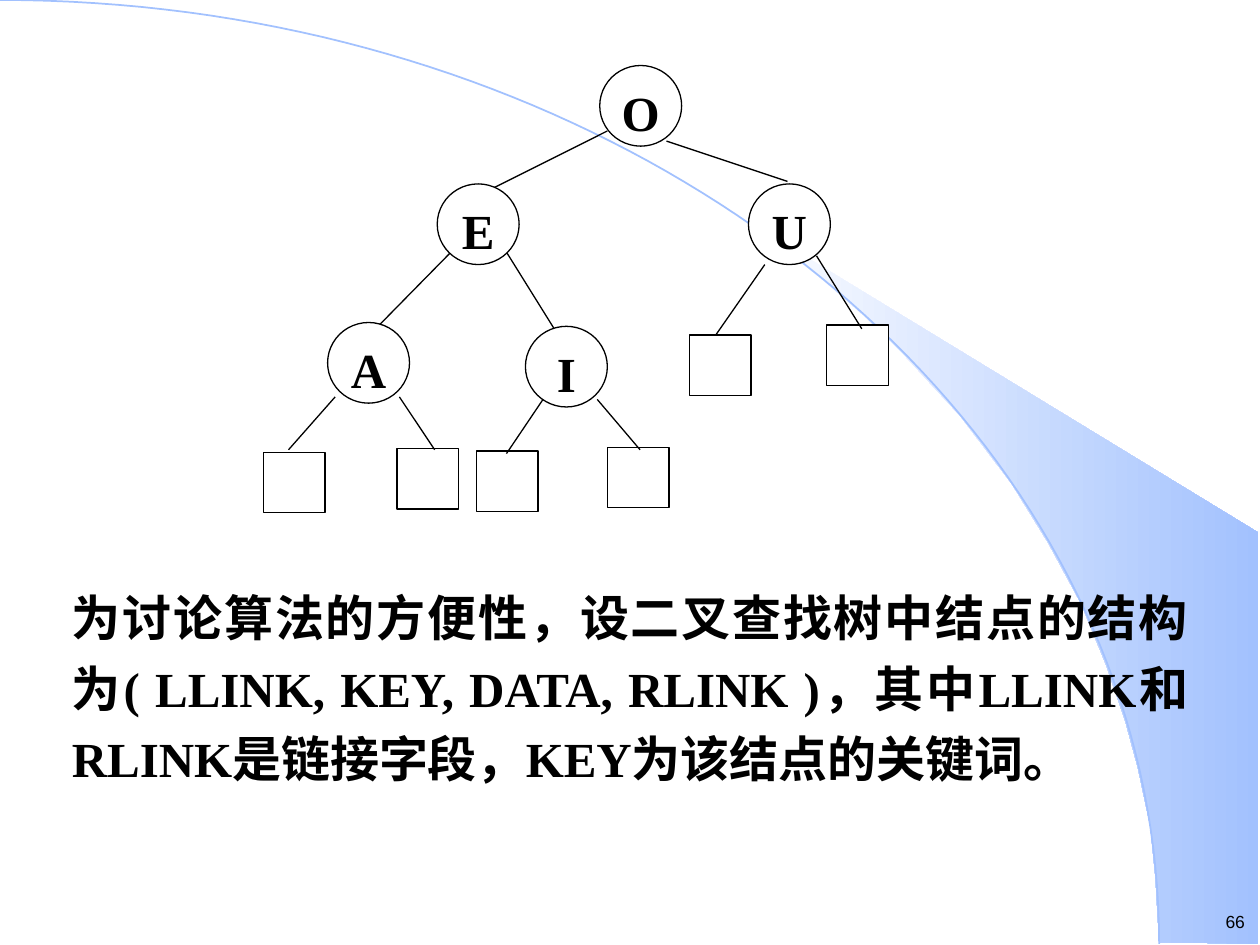
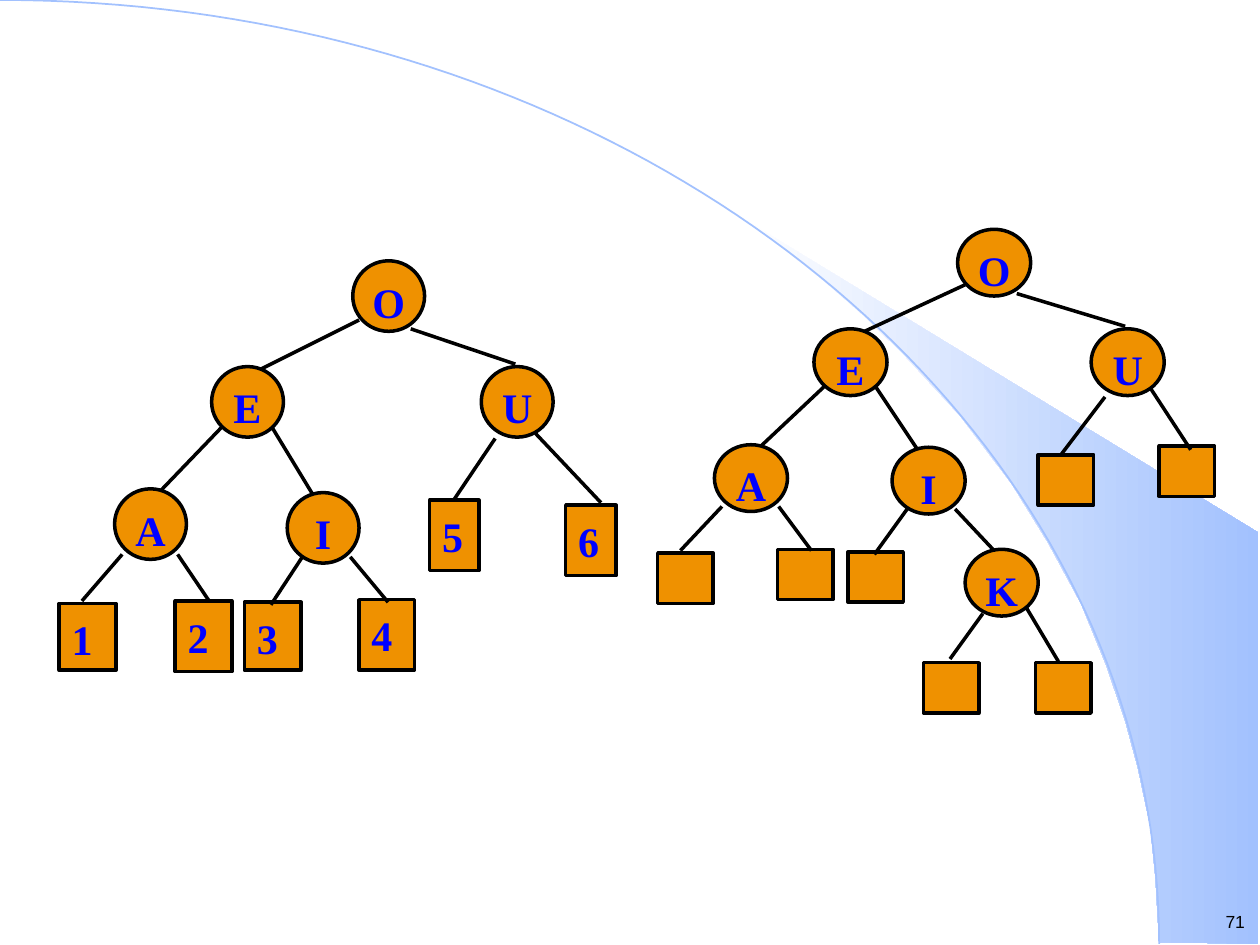
"""Builds two slides on binary search trees: node structure, and insertion of K."""
from pptx import Presentation
from pptx.dml.color import RGBColor
from pptx.enum.shapes import MSO_CONNECTOR, MSO_SHAPE
from pptx.enum.text import MSO_ANCHOR, MSO_AUTO_SIZE, PP_ALIGN
from pptx.oxml.ns import qn
from pptx.util import Pt
from lxml import etree

PX = 9144
BLACK = RGBColor(0x00, 0x00, 0x00)
WHITE = RGBColor(0xFF, 0xFF, 0xFF)
SKY = RGBColor(0xA2, 0xC1, 0xFE)
ORANGE = RGBColor(0xEF, 0x91, 0x00)
BLUE = RGBColor(0x00, 0x00, 0xFF)
SERIF = "Times New Roman"

WEDGE = [(920, 748), (999, 749), (999, 423), (589, 173), (624, 199), (653, 222),
         (685, 250), (716, 280), (762, 330), (803, 384), (832, 431), (858, 479),
         (878, 528), (893, 572), (903, 609), (913, 656), (917, 696)]
ARC_STEPS = 80
ARC = []
for step in range(ARC_STEPS + 1):
    t = step / ARC_STEPS
    s = 1 - t
    ARC.append((3 * s * s * t * 508 + 3 * s * t * t * 920 + t ** 3 * 920,
                3 * s * t * t * 335 + t ** 3 * 749))


def add_outline(slide, points, close):
    """Draws a freeform through points given in px."""
    scaled = [(x * PX, y * PX) for x, y in points]
    builder = slide.shapes.build_freeform(*scaled[0], scale=1.0)
    builder.add_line_segments(scaled[1:], close=close)
    outline = builder.convert_to_shape()
    outline.shadow.inherit = False
    return outline


def add_node(slide, preset, box, label, tree):
    """Draws one tree node, a labelled circle or a square leaf."""
    node = slide.shapes.add_shape(preset, *[v * PX for v in box])
    node.shadow.inherit = False
    node.fill.solid()
    node.fill.fore_color.rgb = tree["fill"]
    node.line.color.rgb = BLACK
    node.line.width = Pt(tree["weight"])
    if label:
        is_circle = preset == MSO_SHAPE.OVAL
        frame = node.text_frame
        frame.word_wrap = True
        frame.vertical_anchor = MSO_ANCHOR.TOP
        frame.margin_left = frame.margin_right = (2 if is_circle else 10) * PX
        frame.margin_top = (4 if is_circle else 8) * PX
        frame.margin_bottom = PX
        frame.text = label
        paragraph = frame.paragraphs[0]
        paragraph.alignment = PP_ALIGN.CENTER if is_circle else PP_ALIGN.LEFT
        font = paragraph.runs[0].font
        font.name, font.size, font.bold = SERIF, Pt(tree["size"]), True
        font.color.rgb = tree["ink"]


structure_tree = {
    "fill": WHITE, "ink": BLACK, "weight": 0.75, "size": 28, "circle": (65, 64),
    "keys": {"O": (476, 52), "E": (347, 146), "A": (260, 256), "U": (594, 146),
             "I": (417, 259)},
    "leaves": [("", x, y, 49, 48) for x, y in
               [(378, 358), (547, 266), (656, 258), (209, 359), (315, 356), (482, 355)]],
    "edges": [(482, 104, 390, 150), (529, 112, 625, 144), (358, 200, 301, 258),
              (400, 197, 443, 266), (607, 210, 568, 266), (648, 203, 684, 261),
              (266, 315, 229, 357), (317, 315, 345, 357), (431, 317, 402, 360),
              (474, 317, 508, 357)],
}
before_insertion = {
    "fill": ORANGE, "ink": BLUE, "weight": 2, "size": 24, "circle": (57, 56),
    "keys": {"O": (280, 207), "E": (168, 291), "A": (91, 388), "U": (382, 291),
             "I": (228, 391)},
    "leaves": [("1", 47, 479, 45, 53), ("2", 139, 477, 45, 56), ("3", 194, 478, 45, 54),
               ("4", 285, 476, 44, 56), ("5", 341, 397, 39, 56), ("6", 449, 401, 40, 56)],
    "edges": [(285, 254, 205, 294), (326, 261, 409, 289), (177, 338, 127, 390),
              (214, 336, 251, 397), (393, 348, 360, 397), (425, 344, 477, 399),
              (97, 440, 65, 477), (141, 440, 166, 477), (240, 442, 215, 480),
              (278, 442, 308, 478)],
}
after_insertion = {
    "fill": ORANGE, "ink": BLUE, "weight": 2, "size": 24, "circle": (58, 53),
    "keys": {"O": (760, 182), "E": (646, 261), "A": (567, 353), "U": (866, 261),
             "I": (708, 355), "K": (766, 436)},
    "leaves": [("", x, y, 44, 40) for x, y in
               [(673, 438), (824, 361), (920, 354), (522, 439), (617, 436),
                (733, 526), (822, 526)]],
    "edges": [(766, 226, 684, 264), (807, 233, 893, 259), (655, 306, 604, 354),
              (693, 304, 731, 361), (877, 315, 842, 361), (913, 308, 945, 357),
              (573, 402, 540, 437), (618, 402, 644, 437), (720, 404, 694, 440),
              (758, 404, 789, 437), (780, 487, 754, 523), (815, 483, 840, 525)],
}

deck = Presentation()
deck.slide_width, deck.slide_height = 1000 * PX, 750 * PX
structure_slide = deck.slides.add_slide(deck.slide_layouts[1])
insertion_slide = deck.slides.add_slide(deck.slide_layouts[6])

for slide, number, trees in [(structure_slide, "66", [structure_tree]),
                             (insertion_slide, "71", [before_insertion, after_insertion])]:
    wedge = add_outline(slide, WEDGE, True)
    wedge.line.fill.background()
    wedge.fill.gradient()
    wedge.fill.gradient_angle = 0
    for stop, color in zip(wedge.fill.gradient_stops, (WHITE, SKY)):
        stop.color.rgb = color
    arc = add_outline(slide, ARC, False)
    arc.fill.background()
    arc.line.color.rgb = SKY
    arc.line.width = Pt(1)

    page_number = slide.shapes.add_textbox(941 * PX, 718 * PX, 49 * PX, 27 * PX).text_frame
    page_number.word_wrap = True
    page_number.margin_left = page_number.margin_right = 2 * PX
    page_number.text = number
    page_number.paragraphs[0].alignment = PP_ALIGN.RIGHT
    number_font = page_number.paragraphs[0].runs[0].font
    number_font.name, number_font.size = "Arial", Pt(10)
    number_font.color.rgb = BLACK

    for tree in trees:
        for label, *box in tree["leaves"]:
            add_node(slide, MSO_SHAPE.RECTANGLE, box, label, tree)
        for ends in tree["edges"]:
            edge = slide.shapes.add_connector(MSO_CONNECTOR.STRAIGHT, *[v * PX for v in ends])
            edge.line.color.rgb = BLACK
            edge.line.width = Pt(tree["weight"])
            etree.SubElement(edge._element.spPr, qn("a:effectLst"))
        for key, corner in tree["keys"].items():
            add_node(slide, MSO_SHAPE.OVAL, corner + tree["circle"], key, tree)

heading = structure_slide.shapes.title._element
heading.getparent().remove(heading)
explanation = structure_slide.placeholders[1]
structure_slide.shapes._spTree.append(explanation._element)
explanation.left, explanation.top = 47 * PX, 442 * PX
explanation.width, explanation.height = 906 * PX, 252 * PX
explanation_frame = explanation.text_frame
explanation_frame.auto_size = MSO_AUTO_SIZE.NONE
explanation_frame.vertical_anchor = MSO_ANCHOR.TOP
explanation_frame.margin_top = 15 * PX
explanation_frame.text = ("为讨论算法的方便性，设二叉查找树中结点的结构为( LLINK, KEY, DATA, RLINK )，"
                          "其中LLINK和RLINK是链接字段，KEY为该结点的关键词。")
sentence = explanation_frame.paragraphs[0]
sentence.alignment = PP_ALIGN.JUSTIFY
sentence.line_spacing = 1.2
sentence.space_before = Pt(0)
sentence_properties = sentence._p.get_or_add_pPr()
sentence_properties.set("marL", "0")
sentence_properties.set("indent", "0")
etree.SubElement(sentence_properties, qn("a:buNone"))
sentence_font = sentence.runs[0].font
sentence_font.name, sentence_font.size, sentence_font.bold = SERIF, Pt(28), True
sentence_font.color.rgb = BLACK

deck.save("out.pptx")
